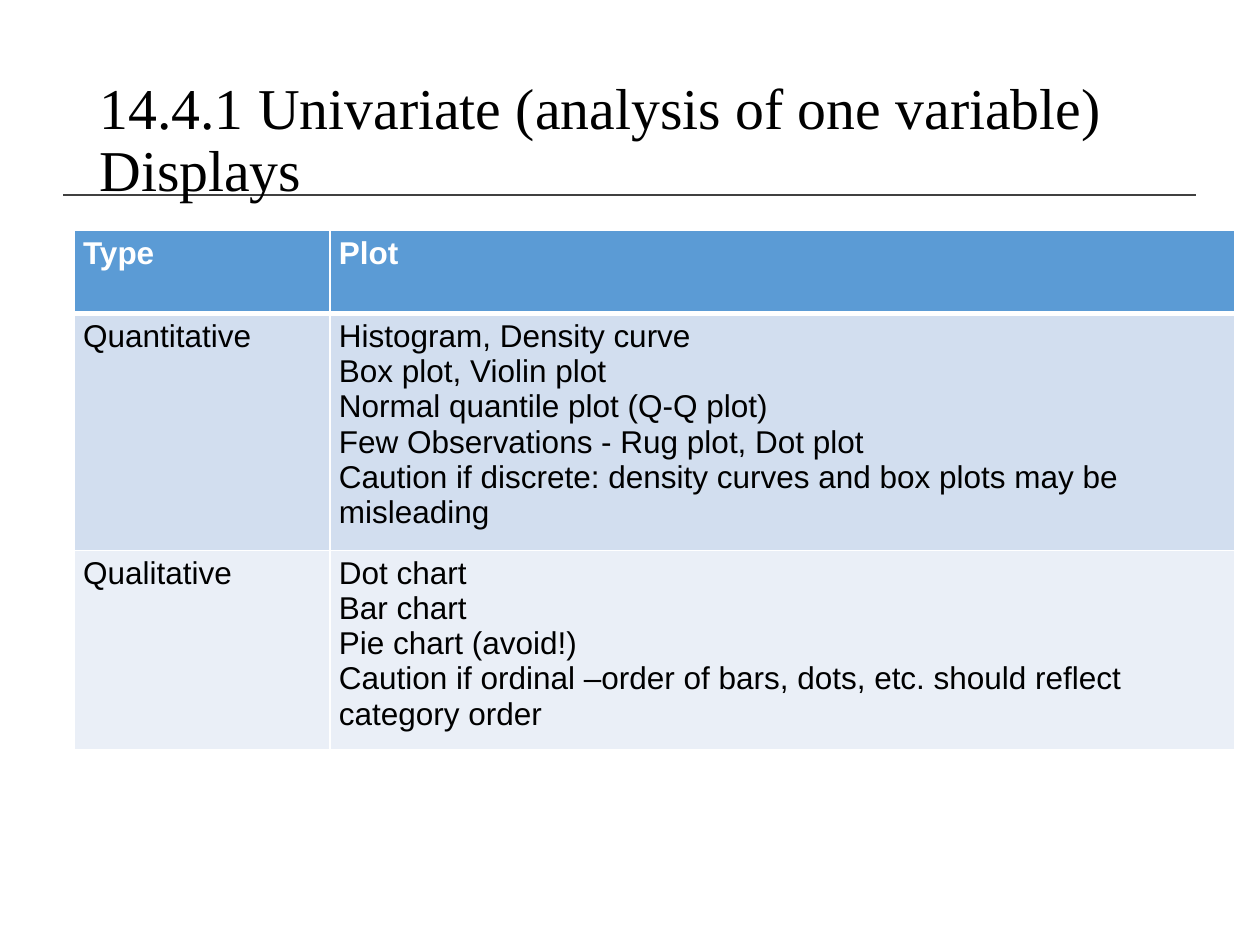
"""Build a slide with a table of univariate displays."""
import pptx
import pptx.dml.color
import pptx.enum.shapes
import pptx.enum.text
import pptx.oxml
import pptx.oxml.ns
import pptx.util

Inches = pptx.util.Inches
Pt = pptx.util.Pt
RGBColor = pptx.dml.color.RGBColor

BLACK = RGBColor(0x00, 0x00, 0x00)
WHITE = RGBColor(0xFF, 0xFF, 0xFF)
GREY = RGBColor(0x40, 0x40, 0x40)
BLUE = RGBColor(0x5B, 0x9B, 0xD5)
PALE = RGBColor(0xD2, 0xDE, 0xEF)
LIGHT = RGBColor(0xEA, 0xEF, 0xF7)

ROWS = [
    (0.66, BLUE, WHITE, ["Type"], ["Plot"]),
    (1.88, PALE, BLACK, ["Quantitative"], [
        "Histogram, Density curve",
        "Box plot, Violin plot",
        "Normal quantile plot (Q-Q plot)",
        "Few Observations - Rug plot, Dot plot",
        "Caution if discrete: density curves and box plots may be misleading",
    ]),
    (1.42, LIGHT, BLACK, ["Qualitative"], [
        "Dot chart",
        "Bar chart",
        "Pie chart (avoid!)",
        "Caution if ordinal –order of bars, dots, etc. should reflect category order",
    ]),
]


class Deck:
    """Hold the style and the current slide."""

    head = "Times New Roman"
    body = "Arial"

    def __init__(self):
        """Start a deck with one blank slide."""
        self.file = pptx.Presentation()
        self.file.slide_width = Inches(10)
        self.file.slide_height = Inches(7.5)
        self.slide = self.file.slides.add_slide(self.file.slide_layouts[6])

    def style(self, para, name, size, color, bold=False):
        """Set the font of a paragraph."""
        font = para.font
        font.name, font.size, font.bold = name, Pt(size), bold
        font.color.rgb = color

    def rule(self, left, right, top):
        """Draw a level line."""
        line = self.slide.shapes.add_connector(
            pptx.enum.shapes.MSO_CONNECTOR.STRAIGHT,
            Inches(left), Inches(top), Inches(right), Inches(top))
        line.line.color.rgb = GREY
        line.line.width = Pt(1)
        line._element.spPr.append(pptx.oxml.parse_xml(
            f"<a:effectLst {pptx.oxml.ns.nsdecls('a')}/>"))

    def title(self, text, box):
        """Add the slide title."""
        frame = self.slide.shapes.add_textbox(*map(Inches, box)).text_frame
        frame.word_wrap = True
        frame.vertical_anchor = pptx.enum.text.MSO_ANCHOR.MIDDLE
        para = frame.paragraphs[0]
        para.text = text
        para.line_spacing = 0.9
        self.style(para, self.head, 33, BLACK)

    def edge(self, cell, side, width):
        """Give one side of a cell a white border."""
        cell._tc.get_or_add_tcPr().append(pptx.oxml.parse_xml(
            f'<a:{side} {pptx.oxml.ns.nsdecls("a")} w="{Pt(width)}"><a:solidFill>'
            f'<a:srgbClr val="{WHITE}"/></a:solidFill></a:{side}>'))

    def cell(self, cell, lines, fill, color, head):
        """Fill and style one table cell."""
        cell.margin_left = cell.margin_right = Inches(0.07)
        cell.margin_top = cell.margin_bottom = Inches(0.04)
        for side in ("lnL", "lnR", "lnT", "lnB"):
            self.edge(cell, side, 3 if head and side == "lnB" else 1)
        cell.fill.solid()
        cell.fill.fore_color.rgb = fill
        cell.text = "\n".join(lines)
        for para in cell.text_frame.paragraphs:
            self.style(para, self.body, 18, color, head)

    def table(self, left, top, widths, rows):
        """Add a table from rows of height, fill, color and cells."""
        high = sum(row[0] for row in rows)
        grid = self.slide.shapes.add_table(
            len(rows), len(widths), Inches(left), Inches(top),
            Inches(sum(widths)), Inches(high)).table
        for col, width in zip(grid.columns, widths):
            col.width = Inches(width)
        for r, (height, fill, color, *cells) in enumerate(rows):
            grid.rows[r].height = Inches(height)
            for c, lines in enumerate(cells):
                self.cell(grid.cell(r, c), lines, fill, color, r == 0)


def main():
    """Build and save the slide."""
    deck = Deck()
    deck.rule(0.5, 9.49, 1.55)
    deck.title("14.4.1 Univariate (analysis of one variable) Displays",
               (0.69, 0.4, 8.62, 1.45))
    deck.table(0.59, 1.83, (2.03, 7.18), ROWS)
    deck.file.save("out.pptx")


if __name__ == "__main__":
    main()
